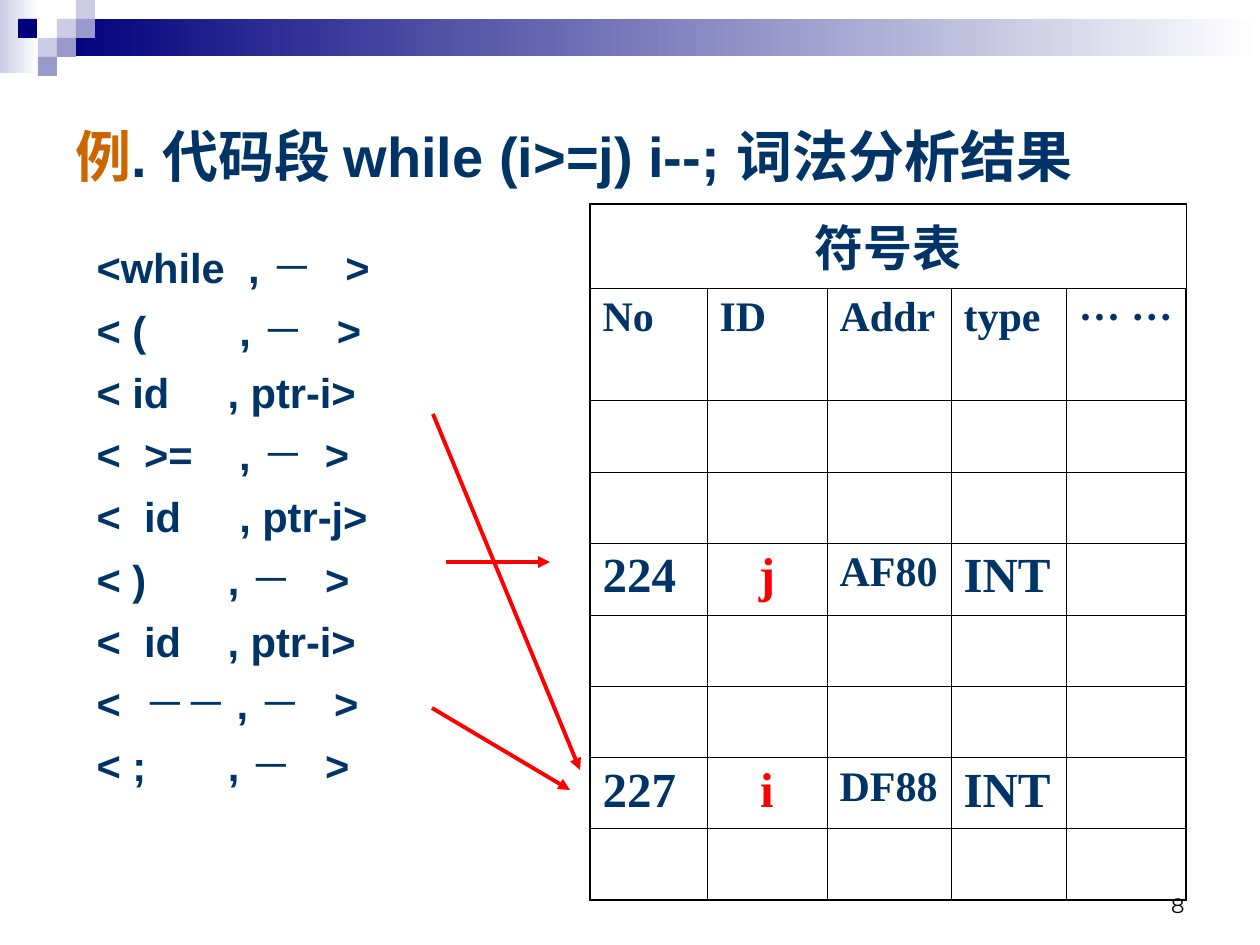
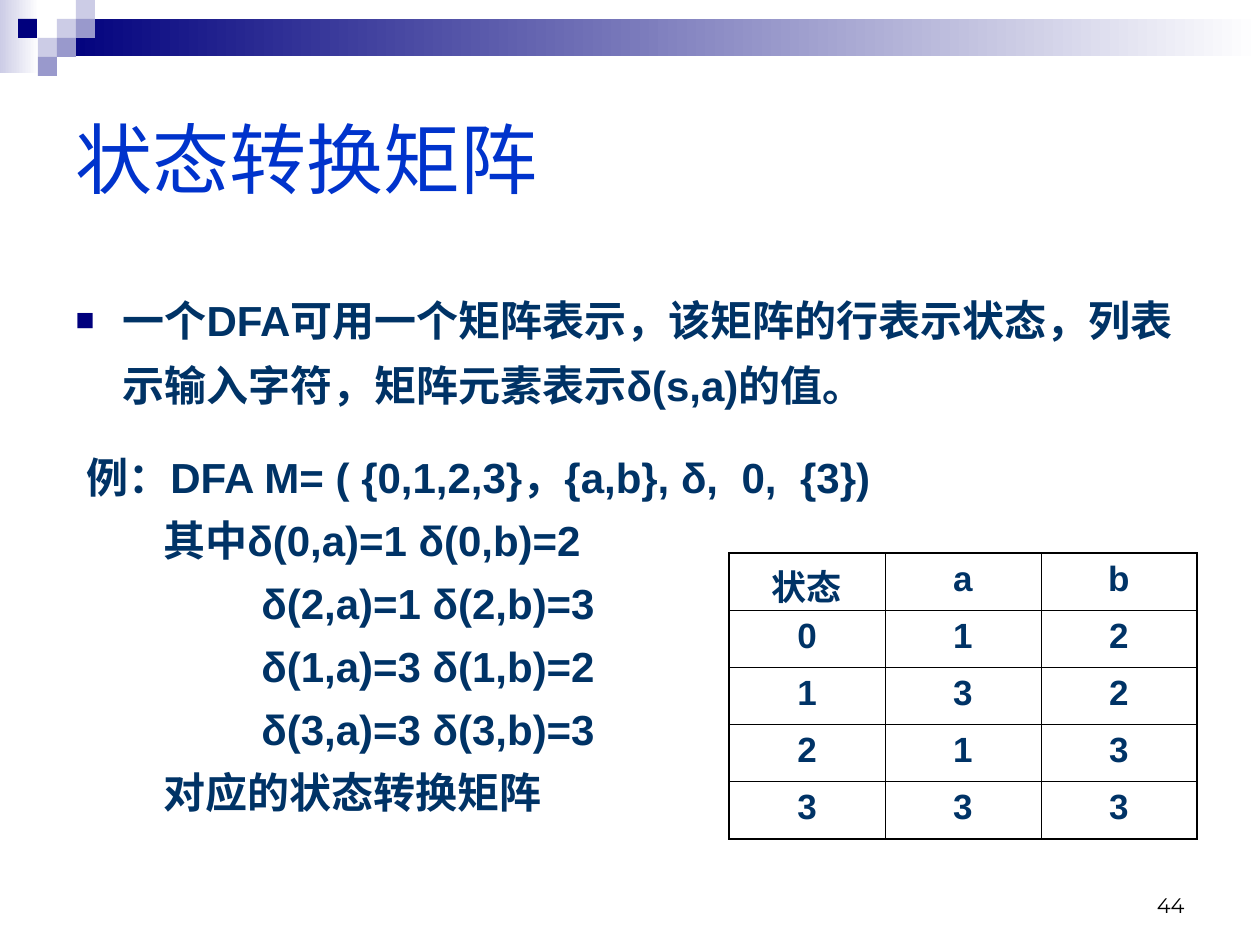
from lxml import etree
from pptx import Presentation
from pptx.dml.color import RGBColor
from pptx.enum.shapes import MSO_CONNECTOR, MSO_SHAPE
from pptx.enum.text import MSO_ANCHOR, MSO_AUTO_SIZE, PP_ALIGN
from pptx.oxml.ns import qn
from pptx.util import Pt

# Scale: 126 px to the inch
EMU_PER_PX = 914400 / 126
SLIDE_SIZE = (1260, 945)

LEFT, CENTER, RIGHT = PP_ALIGN.LEFT, PP_ALIGN.CENTER, PP_ALIGN.RIGHT
TOP, MIDDLE, BOTTOM = MSO_ANCHOR.TOP, MSO_ANCHOR.MIDDLE, MSO_ANCHOR.BOTTOM
RECTANGLE, STRAIGHT = MSO_SHAPE.RECTANGLE, MSO_CONNECTOR.STRAIGHT
NO_FIT = MSO_AUTO_SIZE.NONE

NAVY = RGBColor(0x00, 0x00, 0x7D)
LILAC = RGBColor(0xCC, 0xCC, 0xE6)
VIOLET = RGBColor(0x99, 0x99, 0xCC)
INK = RGBColor(0x00, 0x33, 0x66)
BLUE = RGBColor(0x00, 0x33, 0xCC)
ORANGE = RGBColor(0xCC, 0x66, 0x00)
RED = RGBColor(0xFF, 0x00, 0x00)
BLACK = RGBColor(0x00, 0x00, 0x00)
WHITE = RGBColor(0xFF, 0xFF, 0xFF)

THIN, THICK = 0.45, 1.08
SPACE_WIDTH = 0.28  # width of a space, as a part of the font size


def px(length):
    return round(length * EMU_PER_PX)


def apply(target, values):
    for name, value in values.items():
        setattr(target, name, value)


def font(size, color=INK, bold=True, name="Arial"):
    return {"size": Pt(size), "bold": bold, "name": name, "color": color}


def add_xml(parent, tag, **attributes):
    return etree.SubElement(parent, qn(tag), attributes)


def spaced(pieces, gaps):
    """Join pieces by single spaces, each stretched to a gap."""
    spans = [(pieces[0], {"bold": DASH not in pieces[0]})]
    for piece, gap in zip(pieces[1:], gaps):
        spans += [(" ", {"gap": gap}), (piece, {"bold": DASH not in piece})]
    return spans


class Slides:
    """Holds the deck style and the current page."""

    def __init__(self):
        self.deck = Presentation()
        self.deck.slide_width, self.deck.slide_height = map(px, SLIDE_SIZE)
        self.page = None

    def new_page(self, number):
        self.page = self.deck.slides.add_slide(self.deck.slide_layouts[1])
        if number == PAGE_NUMBERS[0]:
            self.master_bands()
        box = self.page.shapes.add_textbox(*map(px, (903, 861, 294, 63)))
        self.text(box, [[(str(number), {})]],
                  font(12, BLACK, False, "Montserrat"),
                  {"alignment": RIGHT}, BOTTOM)

    def master_bands(self):
        """Draw the top decoration and hand it to the slide master."""
        bands = [self.block((0, 0, 39, 73), LILAC, WHITE),
                 self.block((57, 19, 1203, 37), NAVY, WHITE)]
        squares = [(57, 19, LILAC), (76, 0, LILAC), (76, 19, VIOLET),
                   (38, 38, LILAC), (18, 19, NAVY), (57, 38, VIOLET),
                   (38, 57, VIOLET)]
        bands += [self.block((left, top, 19, 19), color)
                  for left, top, color in squares]
        for band in bands:
            self.deck.slide_master.shapes.element.append(band.element)

    def block(self, place, color, fade=None):
        shape = self.page.shapes.add_shape(RECTANGLE, *map(px, place))
        shape.shadow.inherit = False
        shape.line.fill.background()
        if fade is None:
            shape.fill.solid()
            shape.fill.fore_color.rgb = color
        else:
            shape.fill.gradient()
            shape.fill.gradient_angle = 0
            for stop, shade in zip(shape.fill.gradient_stops, (color, fade)):
                stop.color.rgb = shade
        return shape

    def paragraph(self, para, spans, style, layout, indent=0, bullet=None):
        """Fill one paragraph; spans are (text, font changes)."""
        properties = para._p.get_or_add_pPr()
        hang = indent if bullet else 0
        properties.set("marL", str(px(indent)))
        properties.set("indent", str(-px(hang)))
        if bullet:
            color = add_xml(properties, "a:buClr")
            add_xml(color, "a:srgbClr", val=str(NAVY))
            add_xml(properties, "a:buSzPct", val="75000")
            add_xml(properties, "a:buChar", char=bullet)
        else:
            add_xml(properties, "a:buNone")
        apply(para, layout)
        for text, changes in spans:
            span = para.add_run()
            span.text = text
            values = {**style, **changes}
            span.font.color.rgb = values.pop("color")
            stretch = (values.pop("gap", 1) - 1) * SPACE_WIDTH
            apply(span.font, values)
            if stretch:
                spacing = round(stretch * values["size"].pt * 100)
                span._r.get_or_add_rPr().set("spc", str(spacing))

    def text(self, box, lines, style, layout, anchor=TOP, extras=None,
             gap=0):
        """Fill a box; extras holds the indent or bullet for each line."""
        frame = box.text_frame
        apply(frame, {"word_wrap": True, "auto_size": NO_FIT,
                      "vertical_anchor": anchor})
        for index, spans in enumerate(lines):
            para = frame.add_paragraph() if index else frame.paragraphs[0]
            before = Pt(gap if index else 0)
            self.paragraph(para, spans, style,
                           {"space_before": before, **layout},
                           **(extras[index] if extras else {}))

    def placeholder(self, index, place, *content, **options):
        box = self.page.placeholders[index]
        apply(box, dict(zip(("left", "top", "width", "height"),
                            map(px, place))))
        self.text(box, *content, **options)

    def arrow(self, *ends):
        line = self.page.shapes.add_connector(STRAIGHT, *map(px, ends))
        line.line.color.rgb = RED
        line.line.width = Pt(2.25)
        properties = line.element.spPr
        add_xml(properties.get_or_add_ln(), "a:tailEnd", type="triangle")
        add_xml(properties, "a:effectLst")

    def table(self, left, top, widths, heights):
        frame = self.page.shapes.add_table(
            len(heights), len(widths),
            *map(px, (left, top, sum(widths), sum(heights))))
        table = frame.table
        apply(table, {"first_row": False, "horz_banding": False})
        for column, width in zip(table.columns, widths):
            column.width = px(width)
        for row, height in zip(table.rows, heights):
            row.height = px(height)
        last_row, last_column = len(heights) - 1, len(widths) - 1
        for r in range(len(heights)):
            for c in range(len(widths)):
                outer = {"L": c == 0, "R": c == last_column,
                         "T": r == 0, "B": r == last_row}
                self.borders(table.cell(r, c), outer)
        return table

    def borders(self, cell, outer):
        properties = cell._tc.get_or_add_tcPr()
        for side, is_outer in outer.items():
            width = Pt(THICK if is_outer else THIN)
            line = add_xml(properties, "a:ln" + side, w=str(int(width)))
            fill = add_xml(line, "a:solidFill")
            add_xml(fill, "a:srgbClr", val=str(BLACK))
        cell.fill.background()

    def cell(self, cell, text, style, alignment=LEFT):
        self.paragraph(cell.text_frame.paragraphs[0], [(text, {})], style,
                       {"alignment": alignment})


PAGE_NUMBERS = (8, 44)
DASH = "－"

# Each token line: pieces, then the gaps between them in space widths
TOKENS = [
    (["<while", ",", DASH, ">"], (2, 1, 3)),
    (["< (", ",", DASH, ">"], (8, 1, 3)),
    (["< id", ", ptr-i>"], (5,)),
    (["<", ">=", ",", DASH, ">"], (2, 4, 1, 2)),
    (["<", "id", ", ptr-j>"], (2, 5)),
    (["< )", ",", DASH, ">"], (7, 1, 3)),
    (["<", "id", ", ptr-i>"], (2, 4)),
    (["<", DASH * 2, ",", DASH, ">"], (2, 1, 1, 3)),
    (["< ;", ",", DASH, ">"], (7, 1, 3)),
]
SYMBOL_HEADS = ["No", "ID", "Addr", "type", "··· ···"]
SYMBOLS = {4: ["224", "j", "AF80", "INT"], 7: ["227", "i", "DF88", "INT"]}

# Example lines: pieces and indent in px
EXAMPLE = [
    (["例：DFA M= ( {0,1,2,3}，{a,b}, δ,", "0,", "{3})"], 0),
    (["其中δ(0,a)=1 δ(0,b)=2"], 77),
    (["δ(2,a)=1 δ(2,b)=3"], 175),
    (["δ(1,a)=3 δ(1,b)=2"], 175),
    (["δ(3,a)=3 δ(3,b)=3"], 175),
    (["对应的状态转换矩阵"], 77),
]
MATRIX = ["状态 a b", "0 1 2", "1 3 2", "2 1 3", "3 3 3"]


def token_page(slides):
    slides.new_page(PAGE_NUMBERS[0])
    slides.placeholder(
        0, (63, 115, 1134, 139),
        [[("例", {"color": ORANGE}),
          (". 代码段 while (i>=j) i--; 词法分析结果", {})]],
        font(32), {"alignment": LEFT})

    # Token list
    slides.placeholder(1, (84, 236, 525, 587),
                       [spaced(*token) for token in TOKENS], font(23.8),
                       {"alignment": LEFT}, gap=7)

    # Symbol table
    table = slides.table(590, 204, [117, 120, 124, 115, 120],
                         [84, 112] + [72, 71] * 3 + [71])
    table.cell(0, 0).merge(table.cell(0, 4))
    slides.cell(table.cell(0, 0), "符号表", font(28), CENTER)
    small = font(24, name="Times New Roman")
    large = font(28, name="Times New Roman")
    for column, head in enumerate(SYMBOL_HEADS):
        slides.cell(table.cell(1, column), head, small)
    formats = [(large,), ({**large, "color": RED}, CENTER), (small,), (large,)]
    for row, values in SYMBOLS.items():
        for column, (value, look) in enumerate(zip(values, formats)):
            slides.cell(table.cell(row, column), value, *look)

    # Pointers into the symbol table
    slides.arrow(433, 414, 580, 770)
    slides.arrow(432, 708, 570, 790)
    slides.arrow(446, 562, 550, 562)


def matrix_page(slides):
    slides.new_page(PAGE_NUMBERS[1])
    slides.placeholder(0, (63, 63, 1134, 189), [[("状态转换矩阵", {})]],
                       font(44, BLUE, False), {"alignment": LEFT}, MIDDLE)
    slides.placeholder(
        1, (63, 273, 1153, 160),
        [[("一个DFA可用一个矩阵表示，该矩阵的行表示状态，列表示输入字符，"
           "矩阵元素表示δ(s,a)的值。", {})]],
        font(24), {"alignment": LEFT, "line_spacing": 1.3},
        extras=[{"indent": 47, "bullet": "■"}])

    # Worked example
    box = slides.page.shapes.add_textbox(*map(px, (74, 433, 1032, 391)))
    slides.text(box, [spaced(pieces, (2, 2)) for pieces, _ in EXAMPLE],
                font(24), {"line_spacing": 1.25},
                extras=[{"indent": indent} for _, indent in EXAMPLE])

    # Transition matrix
    table = slides.table(729, 553, [156] * 3, [57] * 4 + [58])
    for row, values in enumerate(MATRIX):
        for column, value in enumerate(values.split()):
            slides.cell(table.cell(row, column), value, font(20), CENTER)
    table.cell(0, 0).margin_bottom = 0


def main():
    slides = Slides()
    token_page(slides)
    matrix_page(slides)
    slides.deck.save("out.pptx")


if __name__ == "__main__":
    main()
